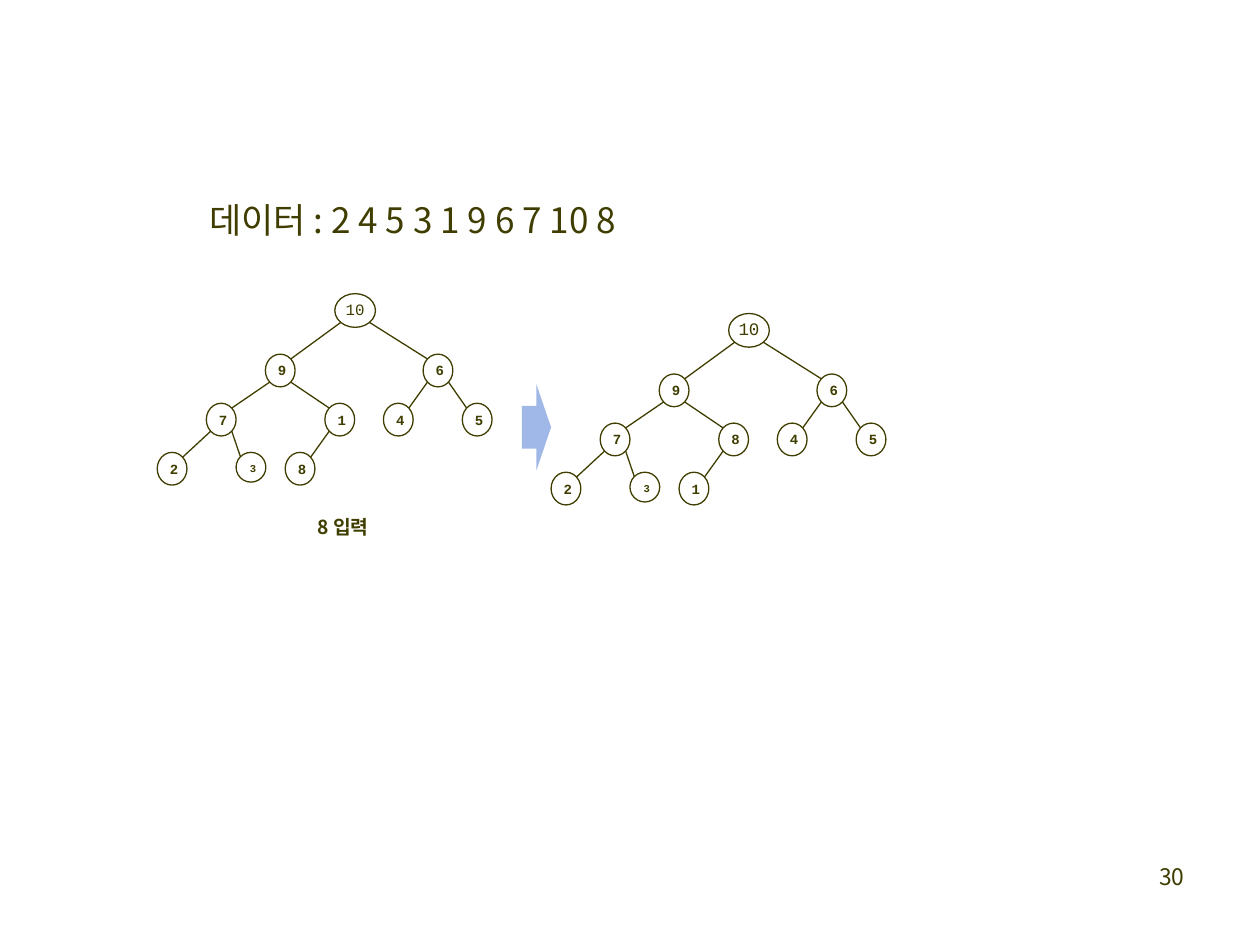
from lxml.etree import SubElement
from pptx import Presentation
from pptx.dml.color import RGBColor as RGB
from pptx.enum.shapes import MSO_CONNECTOR as LINK, MSO_SHAPE as SHAPE
from pptx.enum.text import MSO_ANCHOR as ANCHOR, MSO_AUTO_SIZE as AUTO, PP_ALIGN as ALIGN
from pptx.oxml.ns import qn
from pptx.util import Cm, Pt

# Content: each heap in array order, so node i hangs from (i - 1) // 2
TITLE = "데이터 : 2 4 5 3 1 9 6 7 10 8"
NOTE = "8 입력"
PAGE = "30"
HEAPS = [  # left shift, top shift, root text size, values
    (0, 0, 9, [10, 9, 6, 7, 1, 4, 5, 2, 3, 8]),
    (7.94, 0.4, 10, [10, 9, 6, 7, 8, 4, 5, 2, 3, 1]),
]

# Layout in centimetres: node centres by slot, then sizes
SPOTS = [(7.16, 6.26), (5.65, 7.47), (8.83, 7.47),
         (4.46, 8.46), (6.85, 8.46), (8.03, 8.46), (9.62, 8.46),
         (3.47, 9.45), (5.06, 9.42), (6.05, 9.45)]
NODE = (0.6, 0.66)
SIZES = {0: (0.82, 0.68), 8: (0.6, 0.6)}
DIAG = 0.354  # half the sine of 45 degrees

HEX = {"ink": "3F3E00", "arrow": "9FB8E7"}
SANS, MONO = "Noto Sans CJK KR", "Courier New"


def color(name):
    return RGB.from_string(HEX[name])


def write(shape, text, size, font=SANS, bold=False, align=ALIGN.LEFT,
          gap=1.0, wrap=True, anchor=ANCHOR.TOP, pad=None):
    frame = shape.text_frame
    frame.auto_size = AUTO.NONE
    frame.word_wrap = wrap
    frame.vertical_anchor = anchor
    if pad:
        frame.margin_left, frame.margin_top = Cm(pad[0]), Cm(pad[1])
        frame.margin_right = frame.margin_bottom = 0
    para = frame.paragraphs[0]
    para.alignment, para.line_spacing = align, gap
    run = para.add_run()
    run.text = text
    style = run.font
    style.name, style.size, style.bold = font, Pt(size), bold
    style.color.rgb = color("ink")
    # East Asian letters take the same face
    SubElement(run._r.get_or_add_rPr(), qn("a:ea")).set("typeface", font)


def stroke(item):
    item.line.color.rgb = color("ink")
    item.line.width = Pt(0.75)


def edge(slide, top, end, side):
    """Join two (x, y, w, h) nodes at their facing diagonals."""
    x1, y1, w1, h1 = top
    x2, y2, w2, h2 = end
    line = slide.shapes.add_connector(
        LINK.STRAIGHT,
        Cm(x1 + side * w1 * DIAG), Cm(y1 + h1 * DIAG),
        Cm(x2 - side * w2 * DIAG), Cm(y2 - h2 * DIAG))
    stroke(line)
    SubElement(line._element.spPr, qn("a:effectLst"))


def node(slide, spot, text, **form):
    x, y, w, h = spot
    oval = slide.shapes.add_shape(
        SHAPE.OVAL, Cm(x - w / 2), Cm(y - h / 2), Cm(w), Cm(h))
    oval.shadow.inherit = False
    oval.fill.background()
    stroke(oval)
    write(oval, text, font=MONO, align=ALIGN.CENTER, wrap=False,
          anchor=ANCHOR.MIDDLE, **form)


def heap(slide, left, top, root, values):
    spots = [(x + left, y + top, *SIZES.get(i, NODE))
             for i, (x, y) in enumerate(SPOTS)]
    forms = {0: dict(size=root, gap=0.8, pad=(0, 0)),
             8: dict(size=6, bold=True, gap=0.8, pad=(0.08, 0.1))}
    plain = dict(size=8, bold=True, gap=0.6, pad=(0.08, 0.1))
    for i, value in enumerate(values):
        if i:
            edge(slide, spots[(i - 1) // 2], spots[i], -1 if i % 2 else 1)
        node(slide, spots[i], str(value), **forms.get(i, plain))


def main():
    deck = Presentation()
    deck.slide_width, deck.slide_height = Cm(25.4), Cm(19.05)
    slide = deck.slides.add_slide(deck.slide_layouts[5])
    shapes = slide.shapes

    # Title
    title = shapes.title
    title.left, title.top = Cm(3.96), Cm(3.96)
    title.width, title.height = Cm(9.98), Cm(1.02)
    write(title, TITLE, 20, gap=0.9)

    # Note and page number
    note = shapes.add_textbox(Cm(6.15), Cm(10.31), Cm(1.63), Cm(0.69))
    write(note, NOTE, 11, bold=True, gap=0.9, wrap=False)
    page = shapes.add_textbox(Cm(18.85), Cm(17.27), Cm(5.28), Cm(1.27))
    write(page, PAGE, 13, align=ALIGN.RIGHT)

    # Step arrow
    arrow = shapes.add_shape(
        SHAPE.RIGHT_ARROW, Cm(10.52), Cm(7.75), Cm(0.59), Cm(1.73))
    arrow.shadow.inherit = False
    arrow.fill.solid()
    arrow.fill.fore_color.rgb = color("arrow")
    arrow.line.fill.background()

    # Heaps before and after the step
    for item in HEAPS:
        heap(slide, *item)

    deck.save("out.pptx")


if __name__ == "__main__":
    main()
